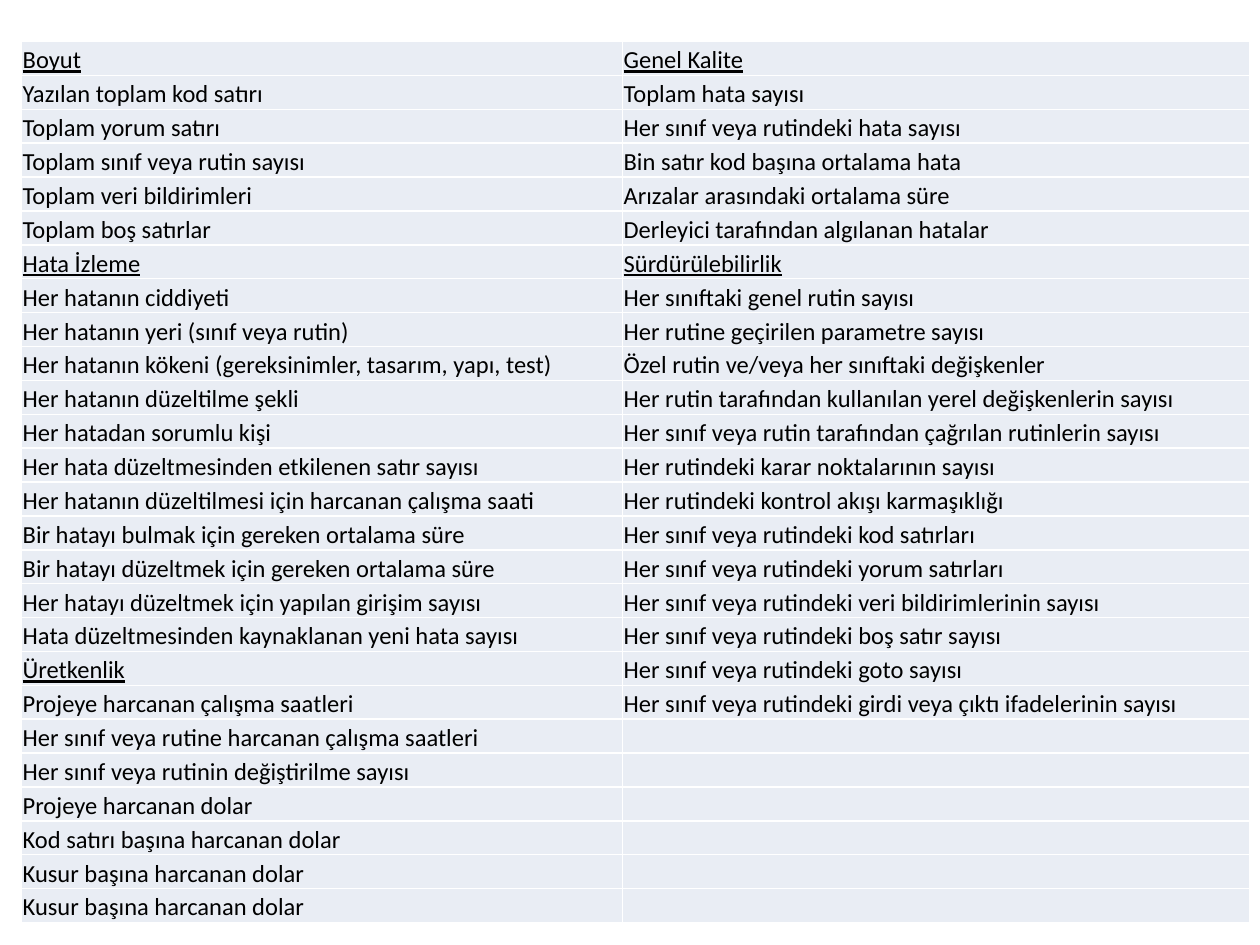
from dataclasses import dataclass
from itertools import zip_longest

from lxml.etree import SubElement as Sub
from pptx import Presentation
from pptx.dml.color import RGBColor as Rgb
from pptx.enum.text import MSO_ANCHOR as Anchor
from pptx.oxml.ns import qn
from pptx.util import Inches, Pt

COLORS = {"text": "000000", "fill": "E9EDF4", "line": "FFFFFF"}
FONT, SIZE = "Calibri", 14
LEFT, TOP, HIGH = 0.17, 0.33, 7
WIDTHS = (4.77, 4.98)


@dataclass
class Group:
    title: str
    items: list[str]


@dataclass
class Entry:
    text: str = ""
    head: bool = False


# Metric groups, one list per column
FIRST = [
    Group("Boyut", [
        "Yazılan toplam kod satırı",
        "Toplam yorum satırı",
        "Toplam sınıf veya rutin sayısı",
        "Toplam veri bildirimleri",
        "Toplam boş satırlar",
    ]),
    Group("Hata İzleme", [
        "Her hatanın ciddiyeti",
        "Her hatanın yeri (sınıf veya rutin)",
        "Her hatanın kökeni (gereksinimler, tasarım, yapı, test)",
        "Her hatanın düzeltilme şekli",
        "Her hatadan sorumlu kişi",
        "Her hata düzeltmesinden etkilenen satır sayısı",
        "Her hatanın düzeltilmesi için harcanan çalışma saati",
        "Bir hatayı bulmak için gereken ortalama süre",
        "Bir hatayı düzeltmek için gereken ortalama süre",
        "Her hatayı düzeltmek için yapılan girişim sayısı",
        "Hata düzeltmesinden kaynaklanan yeni hata sayısı",
    ]),
    Group("Üretkenlik", [
        "Projeye harcanan çalışma saatleri",
        "Her sınıf veya rutine harcanan çalışma saatleri",
        "Her sınıf veya rutinin değiştirilme sayısı",
        "Projeye harcanan dolar",
        "Kod satırı başına harcanan dolar",
        "Kusur başına harcanan dolar",
        "Kusur başına harcanan dolar",
    ]),
]
SECOND = [
    Group("Genel Kalite", [
        "Toplam hata sayısı",
        "Her sınıf veya rutindeki hata sayısı",
        "Bin satır kod başına ortalama hata",
        "Arızalar arasındaki ortalama süre",
        "Derleyici tarafından algılanan hatalar",
    ]),
    Group("Sürdürülebilirlik", [
        "Her sınıftaki genel rutin sayısı",
        "Her rutine geçirilen parametre sayısı",
        "Özel rutin ve/veya her sınıftaki değişkenler",
        "Her rutin tarafından kullanılan yerel değişkenlerin sayısı",
        "Her sınıf veya rutin tarafından çağrılan rutinlerin sayısı",
        "Her rutindeki karar noktalarının sayısı",
        "Her rutindeki kontrol akışı karmaşıklığı",
        "Her sınıf veya rutindeki kod satırları",
        "Her sınıf veya rutindeki yorum satırları",
        "Her sınıf veya rutindeki veri bildirimlerinin sayısı",
        "Her sınıf veya rutindeki boş satır sayısı",
        "Her sınıf veya rutindeki goto sayısı",
        "Her sınıf veya rutindeki girdi veya çıktı ifadelerinin sayısı",
    ]),
]


def flatten(groups: list[Group]) -> list[Entry]:
    return [entry for group in groups
            for entry in [Entry(group.title, True), *map(Entry, group.items)]]


def add_border(cell) -> None:
    props = cell._tc.get_or_add_tcPr()
    for spot, side in enumerate(("lnL", "lnR", "lnT", "lnB")):
        line = Sub(props, qn(f"a:{side}"), w=str(Pt(1)))
        Sub(Sub(line, qn("a:solidFill")), qn("a:srgbClr"), val=COLORS["line"])
        props.insert(spot, line)  # borders come before the fill


def fill_cell(cell, entry: Entry) -> None:
    cell.fill.solid()
    cell.fill.fore_color.rgb = Rgb.from_string(COLORS["fill"])
    add_border(cell)
    cell.vertical_anchor = Anchor.BOTTOM
    cell.margin_left = cell.margin_right = cell.margin_top = Inches(0.01)
    cell.margin_bottom = 0
    para = cell.text_frame.paragraphs[0]
    if not entry.text:
        # Keep empty rows as low as the others
        Sub(para._p, qn("a:endParaRPr"), sz=str(SIZE * 100))
        return
    run = para.add_run()
    run.text = entry.text
    font = run.font
    font.name, font.size = FONT, Pt(SIZE)
    font.underline = entry.head
    font.color.rgb = Rgb.from_string(COLORS["text"])


def add_grid(slide, rows: list[tuple[Entry, Entry]]) -> None:
    frame = slide.shapes.add_table(
        len(rows), len(WIDTHS), Inches(LEFT), Inches(TOP),
        Inches(sum(WIDTHS)), Inches(HIGH))
    table = frame.table
    table.first_row = table.horz_banding = False
    for col, width in zip(table.columns, WIDTHS):
        col.width = Inches(width)
    for row, pair in zip(table.rows, rows):
        row.height = Inches(HIGH / len(rows))
        for cell, entry in zip(row.cells, pair):
            fill_cell(cell, entry)


def main() -> None:
    deck = Presentation()
    deck.slide_width, deck.slide_height = Inches(10), Inches(7.5)
    slide = deck.slides.add_slide(deck.slide_layouts[6])
    # Pair the columns, leaving the shorter one blank at its end
    rows = list(zip_longest(flatten(FIRST), flatten(SECOND), fillvalue=Entry()))
    add_grid(slide, rows)
    deck.save("out.pptx")


if __name__ == "__main__":
    main()
